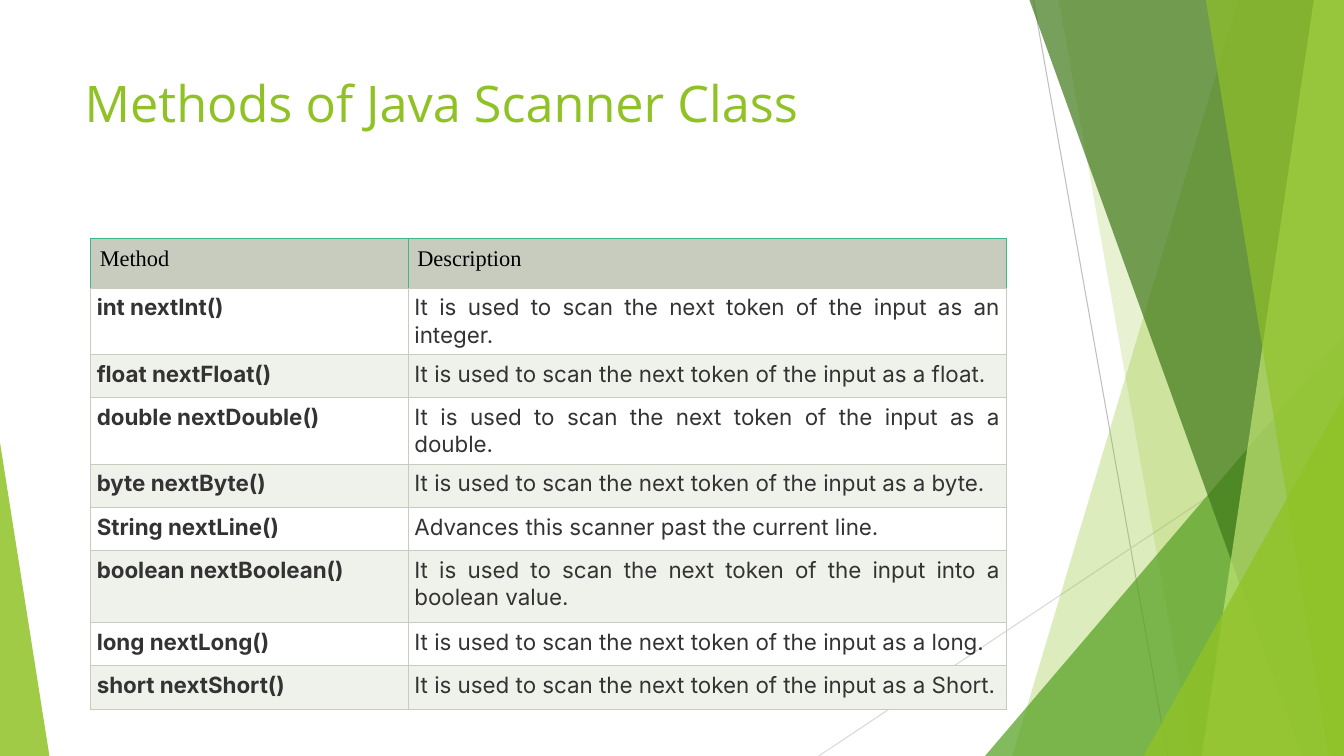
from collections import namedtuple
from lxml.etree import SubElement
from pptx import Presentation
from pptx.dml.color import RGBColor
from pptx.enum.shapes import MSO_CONNECTOR, MSO_SHAPE
from pptx.enum.text import MSO_ANCHOR, PP_ALIGN
from pptx.oxml.ns import qn
from pptx.util import Inches, Pt

Box = namedtuple("Box", "left top width height")
LIME, GREEN, FOREST, PALE_LIME = "90C226", "54A021", "3F7819", "C0E474"
GREY_GREEN, BAND, TEAL, INK = "C7CCBE", "EFF1EB", "40B989", "333333"
TOKEN = "It is used to scan the next token of the input "
METHODS = [
    ("int nextInt()", TOKEN + "as an integer.", 0.65),
    ("float nextFloat()", TOKEN + "as a float.", 0.43),
    ("double nextDouble()", TOKEN + "as a double.", 0.65),
    ("byte nextByte()", TOKEN + "as a byte.", 0.43),
    ("String nextLine()", "Advances this scanner past the current line.", 0.43),
    ("boolean nextBoolean()", TOKEN + "into a boolean value.", 0.71),
    ("long nextLong()", TOKEN + "as a long.", 0.43),
    ("short nextShort()", TOKEN + "as a Short.", 0.43),
]


def colour(code):
    """Turn a hex string into a colour."""
    return RGBColor.from_string(code)


def paint(shape, code, opacity):
    """Give a shape a translucent fill without line or shadow."""
    shape.shadow.inherit = False
    shape.line.fill.background()
    shape.fill.solid()
    shape.fill.fore_color.rgb = colour(code)
    tint = shape.fill._xPr.find(".//" + qn("a:srgbClr"))
    SubElement(tint, qn("a:alpha"), val=str(opacity * 1000))


def add_hairline(page, start, end, code):
    """Draw a thin straight line."""
    line = page.shapes.add_connector(MSO_CONNECTOR.STRAIGHT, *map(Inches, start + end))
    line.line.color.rgb = colour(code)
    line.line.width = Pt(0.75)
    SubElement(line._element.spPr, qn("a:effectLst"))


def add_facet(page, box, top_inset, bottom_inset, code, opacity):
    """Fill from a slanted edge, set by insets from the right, to the box's right side."""
    right, bottom = box.left + box.width, box.top + box.height
    points = [(right - top_inset, box.top), (right, box.top),
              (right, bottom), (right - bottom_inset, bottom)]
    corners = [(Inches(x), Inches(y)) for x, y in points]
    builder = page.shapes.build_freeform(*corners[0], scale=1.0)
    builder.add_line_segments(corners[1:], close=True)
    paint(builder.convert_to_shape(), code, opacity)


def add_corner(page, box, apex, code, opacity):
    """Add a right triangle whose apex is at fraction 0 (left) or 1 (right)."""
    triangle = page.shapes.add_shape(MSO_SHAPE.ISOSCELES_TRIANGLE, *map(Inches, box))
    triangle.adjustments[0] = apex
    paint(triangle, code, opacity)


def add_right_corner(page, box, width, height, code, opacity):
    """Place a triangle in the bottom right corner of the box."""
    corner = Box(box.left + box.width - width, box.top + box.height - height, width, height)
    add_corner(page, corner, 1, code, opacity)


def add_decoration(page, box):
    """Build the layered facets on the right and the wedge on the left."""
    right, bottom = box.left + box.width, box.top + box.height
    add_hairline(page, (right - 3.08, box.top), (right - 1.75, bottom), "BFBFBF")
    add_hairline(page, (right, bottom - 3.47), (right - 5.21, bottom), "D9D9D9")
    add_facet(page, box, 1.05, 3.29, LIME, 30)
    add_facet(page, box, 2.83, 1.5, LIME, 20)
    add_right_corner(page, box, 3.56, 4.17, GREEN, 72)
    add_facet(page, box, 3.12, 0.42, FOREST, 70)
    add_facet(page, box, 0.3, 1.41, PALE_LIME, 70)
    add_facet(page, box, 1.37, 0.15, LIME, 65)
    add_right_corner(page, box, 1.99, 3.57, LIME, 80)
    add_corner(page, Box(box.left, bottom - 3.11, 0.49, 3.11), 0, LIME, 85)


def add_title(page, box, text):
    """Move and format the title placeholder."""
    title = page.shapes.title
    title.left, title.top, title.width, title.height = map(Inches, box)
    frame = title.text_frame
    frame.text = text
    frame.vertical_anchor = MSO_ANCHOR.TOP
    para = frame.paragraphs[0]
    para.alignment = PP_ALIGN.LEFT
    para.font.name, para.font.size = "Open Sans", Pt(36)
    para.font.color.rgb = colour(LIME)


def set_borders(cell, left, right, top, bottom):
    """Draw the four cell borders in the given colours."""
    properties = cell._tc.get_or_add_tcPr()
    sides = zip(("lnL", "lnR", "lnT", "lnB"), (left, right, top, bottom))
    for position, (side, code) in enumerate(sides):
        line = properties.makeelement(qn("a:" + side), {"w": str(Pt(0.6))})
        properties.insert(position, line)
        SubElement(SubElement(line, qn("a:solidFill")), qn("a:srgbClr"), val=code)


def fill_cell(cell, text, font_name, ink, inset, fill=None, bold=False, align=PP_ALIGN.LEFT):
    """Write and format one table cell."""
    cell.text = text
    cell.margin_left = cell.margin_right = cell.margin_top = cell.margin_bottom = Inches(inset)
    para = cell.text_frame.paragraphs[0]
    para.alignment = align
    para.font.name, para.font.size, para.font.bold = font_name, Pt(16), bold
    para.font.color.rgb = colour(ink)
    if fill:
        cell.fill.solid()
        cell.fill.fore_color.rgb = colour(fill)
    else:
        cell.fill.background()


def add_method_table(page, box):
    """Build the table of scanner methods."""
    frame = page.shapes.add_table(len(METHODS) + 1, 2, *map(Inches, box))
    table = frame.table
    table.first_row = table.horz_banding = False
    method_width = 3.15
    table.columns[0].width = Inches(method_width)
    table.columns[1].width = Inches(box.width - method_width)
    table.rows[0].height = Inches(0.5)
    for cell, heading in zip(table.rows[0].cells, ("Method", "Description")):
        fill_cell(cell, heading, "Times New Roman", "000000", 0.09, GREY_GREEN)
        set_borders(cell, TEAL, TEAL, TEAL, GREY_GREEN)
    for number, (method, description, height) in enumerate(METHODS, 1):
        row = table.rows[number]
        row.height = Inches(height)
        fill = None if number % 2 else BAND
        for cell, text, bold in zip(row.cells, (method, description), (True, False)):
            fill_cell(cell, text, "Inter", INK, 0.06, fill, bold, PP_ALIGN.JUSTIFY)
            set_borders(cell, *[GREY_GREEN] * 4)


deck = Presentation()
deck.slide_width, deck.slide_height = Inches(13.33), Inches(7.5)
page = deck.slides.add_slide(deck.slide_layouts[5])
add_decoration(page, Box(0, 0, 13.33, 7.5))
add_title(page, Box(0.74, 0.67, 9.4, 1.44), "Methods of Java Scanner Class")
add_method_table(page, Box(0.9, 2.36, 9.08, 4.66))
deck.save("out.pptx")
